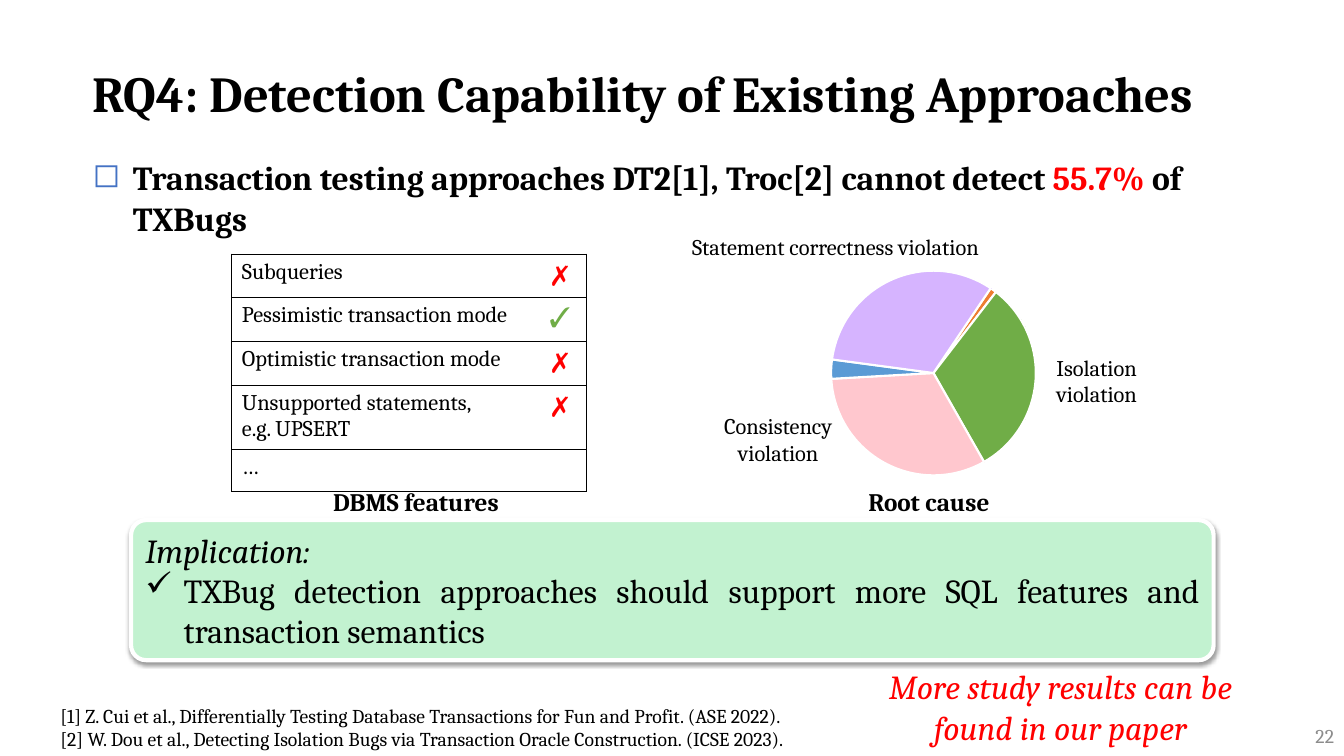
"""Build the RQ4 slide on the detection capability of existing approaches."""
from lxml import etree
from pptx import Presentation, util as u
from pptx.chart.data import CategoryChartData
from pptx.dml.color import RGBColor
from pptx.enum import chart as charts, dml, shapes, text
from pptx.oxml import parse_xml
from pptx.oxml.ns import nsdecls, qn

FONT = "Cambria"
COLORS = {
    "black": "000000", "white": "FFFFFF", "red": "FF0000", "gray": "8C8C8C",
    "bullet": "4472C4", "mint": "C2F2D0", "orange": "ED7D31", "green": "70AD47",
    "pink": "FFC7CE", "blue": "5B9BD5", "lilac": "D6B4FF",
}
LEFT, CENTER, RIGHT, JUSTIFY = (
    text.PP_ALIGN.LEFT, text.PP_ALIGN.CENTER, text.PP_ALIGN.RIGHT, text.PP_ALIGN.JUSTIFY)

presentation = Presentation()
presentation.slide_width, presentation.slide_height = u.Inches(13.33), u.Inches(7.5)
slide = presentation.slides.add_slide(presentation.slide_layouts[5])


def place(left, top, width, height):
    """Turn percentages of the slide into lengths."""
    across, down = presentation.slide_width / 100, presentation.slide_height / 100
    return [round(length) for length in
            (left * across, top * down, width * across, height * down)]


def write(frame, paragraphs, size, align=LEFT, color="black", bold=False, italic=False):
    """Fill a text frame; a paragraph is (runs, indent, bullet), a run (words, changes)."""
    frame.word_wrap = True
    for index, (runs, indent, bullet) in enumerate(paragraphs):
        paragraph = frame.add_paragraph() if index else frame.paragraphs[0]
        paragraph.alignment = align
        properties = paragraph._p.get_or_add_pPr()
        if indent:
            properties.set("marL", str(u.Inches(indent)))
            properties.set("indent", str(-u.Inches(indent)))
        if bullet:
            symbol, bullet_color = bullet
            tint = etree.SubElement(properties, qn("a:buClr"))
            etree.SubElement(tint, qn("a:srgbClr")).set("val", COLORS[bullet_color])
            etree.SubElement(properties, qn("a:buChar")).set("char", symbol)
        for words, changes in runs:
            run = paragraph.add_run()
            run.text = words
            run.font.name, run.font.size = FONT, u.Pt(size)
            run.font.bold = bold
            run.font.italic = changes.get("italic", italic)
            run.font.color.rgb = RGBColor.from_string(COLORS[changes.get("color", color)])


title = slide.shapes.title
title.left, title.top, title.width, title.height = place(6.15, 4.53, 88.8, 12.4)
title.text_frame.auto_size = text.MSO_AUTO_SIZE.NONE
title.text_frame.vertical_anchor = text.MSO_ANCHOR.BOTTOM
write(title.text_frame, [([("RQ4: Detection Capability of Existing Approaches", {})], 0, None)],
      36, bold=True)
title.text_frame.paragraphs[0].line_spacing = u.Pt(46.7)

finding = slide.shapes.add_textbox(*place(6.15, 20.13, 88.8, 12.13))
write(finding.text_frame, [([
    ("Transaction testing approaches DT2[1], Troc[2] cannot detect ", {}),
    ("55.7%", {"color": "red"}),
    (" of TXBugs", {}),
], 0.4, ("◻", "bullet"))], 24, bold=True)

implication = slide.shapes.add_shape(
    shapes.MSO_SHAPE.ROUNDED_RECTANGLE, *place(9.75, 68.8, 80.55, 18.53))
implication.adjustments[0] = 0.107
implication.fill.solid()
implication.fill.fore_color.rgb = RGBColor.from_string(COLORS["mint"])
implication.line.color.rgb = RGBColor.from_string(COLORS["white"])
implication.line.width = u.Pt(3)
implication.shadow.inherit = False
implication._element.spPr.find(qn("a:effectLst")).append(parse_xml(
    f'<a:outerShdw {nsdecls("a")} blurRad="{u.Pt(3.1)}" dist="{u.Pt(1.6)}" dir="5400000" '
    f'rotWithShape="0"><a:srgbClr val="{COLORS["black"]}"><a:alpha val="38000"/>'
    '</a:srgbClr></a:outerShdw>'))
implication.text_frame.vertical_anchor = text.MSO_ANCHOR.TOP
write(implication.text_frame, [
    ([("Implication:", {"italic": True})], 0, None),
    ([("TXBug detection approaches should support more SQL features and "
       "transaction semantics", {})], 0.38, ("✓", "black")),
], 24, JUSTIFY)

references = slide.shapes.add_textbox(*place(3.75, 92.4, 83.25, 7.6))
write(references.text_frame, [([(line, {})], 0.44, None) for line in (
    "[1] Z. Cui et al., Differentially Testing Database Transactions for Fun and Profit. "
    "(ASE 2022).",
    "[2] W. Dou et al., Detecting Isolation Bugs via Transaction Oracle Construction. "
    "(ICSE 2023).",
)], 14, JUSTIFY)

causes = CategoryChartData()
causes.categories = ["1", "2", "3", "4", "5"]
causes.add_series("Series 1", (1, 31, 32, 3, 32))
chart = slide.shapes.add_chart(
    charts.XL_CHART_TYPE.PIE, *place(48.98, 34.4, 40.35, 28.93), causes).chart
chart.has_legend = chart.has_title = False
chart.font.name, chart.font.size = FONT, u.Pt(10)
chart.font.color.rgb = RGBColor.from_string(COLORS["black"])
pie = chart.plots[0]
pie.vary_by_categories = True
for index, color in enumerate(("orange", "green", "pink", "blue", "lilac")):
    wedge = pie.series[0].points[index].format
    if color in ("orange", "blue"):
        wedge.fill.solid()
    else:
        wedge.fill.patterned()
        wedge.fill.pattern = dml.MSO_PATTERN.DARK_VERTICAL
        wedge.fill.back_color.rgb = RGBColor.from_string(COLORS["white"])
    wedge.fill.fore_color.rgb = RGBColor.from_string(COLORS[color])
    wedge.line.color.rgb = RGBColor.from_string(COLORS["white"])
    wedge.line.width = u.Pt(1.5)
pie_element = pie._element
for angle in pie_element.findall(qn("c:firstSliceAng")):
    pie_element.remove(angle)
etree.SubElement(pie_element, qn("c:firstSliceAng")).set("val", "34")
plot_area = pie_element.getparent()
for layout in plot_area.findall(qn("c:layout")):
    plot_area.remove(layout)
plot_area.insert(0, parse_xml(
    f'<c:layout {nsdecls("c")}><c:manualLayout><c:layoutTarget val="inner"/>'
    '<c:xMode val="edge"/><c:yMode val="edge"/><c:x val="0.248"/><c:y val="0.049"/>'
    '<c:w val="0.519"/><c:h val="0.936"/></c:manualLayout></c:layout>'))

features = [
    (["Subqueries"], "✗", 5.75),
    (["Pessimistic transaction mode"], "✓", 5.75),
    (["Optimistic transaction mode"], "✗", 5.8),
    (["Unsupported statements,", "e.g. UPSERT"], "✗", 8.5),
    (["…"], "", 5.5),
]
table = slide.shapes.add_table(len(features), 2, *place(17.25, 33.6, 26.41, 31.3)).table
table.first_row = table.horz_banding = False
for column, share in zip(table.columns, (22.43, 3.98)):
    column.width = round(share / 100 * presentation.slide_width)
for row, (lines, mark, share) in enumerate(features):
    table.rows[row].height = round(share / 100 * presentation.slide_height)
    name_cell, mark_cell = table.cell(row, 0), table.cell(row, 1)
    write(name_cell.text_frame, [([(line, {})], 0, None) for line in lines], 16)
    if mark:
        supported = mark == "✓"
        write(mark_cell.text_frame, [([(mark, {})], 0, None)], 20, CENTER,
              "green" if supported else "red", bold=supported)
    for cell, inner_side in ((name_cell, "R"), (mark_cell, "L")):
        cell.fill.background()
        for position, side in enumerate("LRTB"):
            paint = ("<a:noFill/>" if side == inner_side else
                     f'<a:solidFill><a:srgbClr val="{COLORS["black"]}"/></a:solidFill>')
            cell._tc.get_or_add_tcPr().insert(position, parse_xml(
                f'<a:ln{side} {nsdecls("a")} w="{u.Pt(0.75)}">{paint}</a:ln{side}>'))

for words, area, style in (
    ("DBMS features", (17.78, 63.73, 26.33, 5.33), {"size": 18, "bold": True}),
    ("Root cause", (55.95, 63.73, 26.33, 5.33), {"size": 18, "bold": True}),
    ("Statement correctness violation", (50.55, 30.13, 23.25, 8.53), {"size": 16}),
    ("Isolation violation", (76.8, 46.13, 9.6, 8.53), {"size": 16}),
    ("Consistency violation", (50.55, 53.87, 14.7, 8.53), {"size": 16}),
    ("More study results can be found in our paper", (62.85, 87.47, 32.1, 12.13),
     {"size": 24, "color": "red", "italic": True}),
):
    label = slide.shapes.add_textbox(*place(*area))
    write(label.text_frame, [([(words, {})], 0, None)], align=CENTER, **style)

number = slide.shapes.add_textbox(*place(77.5, 94.67, 22.5, 5.33))
number.text_frame.vertical_anchor = text.MSO_ANCHOR.MIDDLE
write(number.text_frame, [([("22", {})], 0, None)], 14, RIGHT, "gray")

presentation.save("out.pptx")
